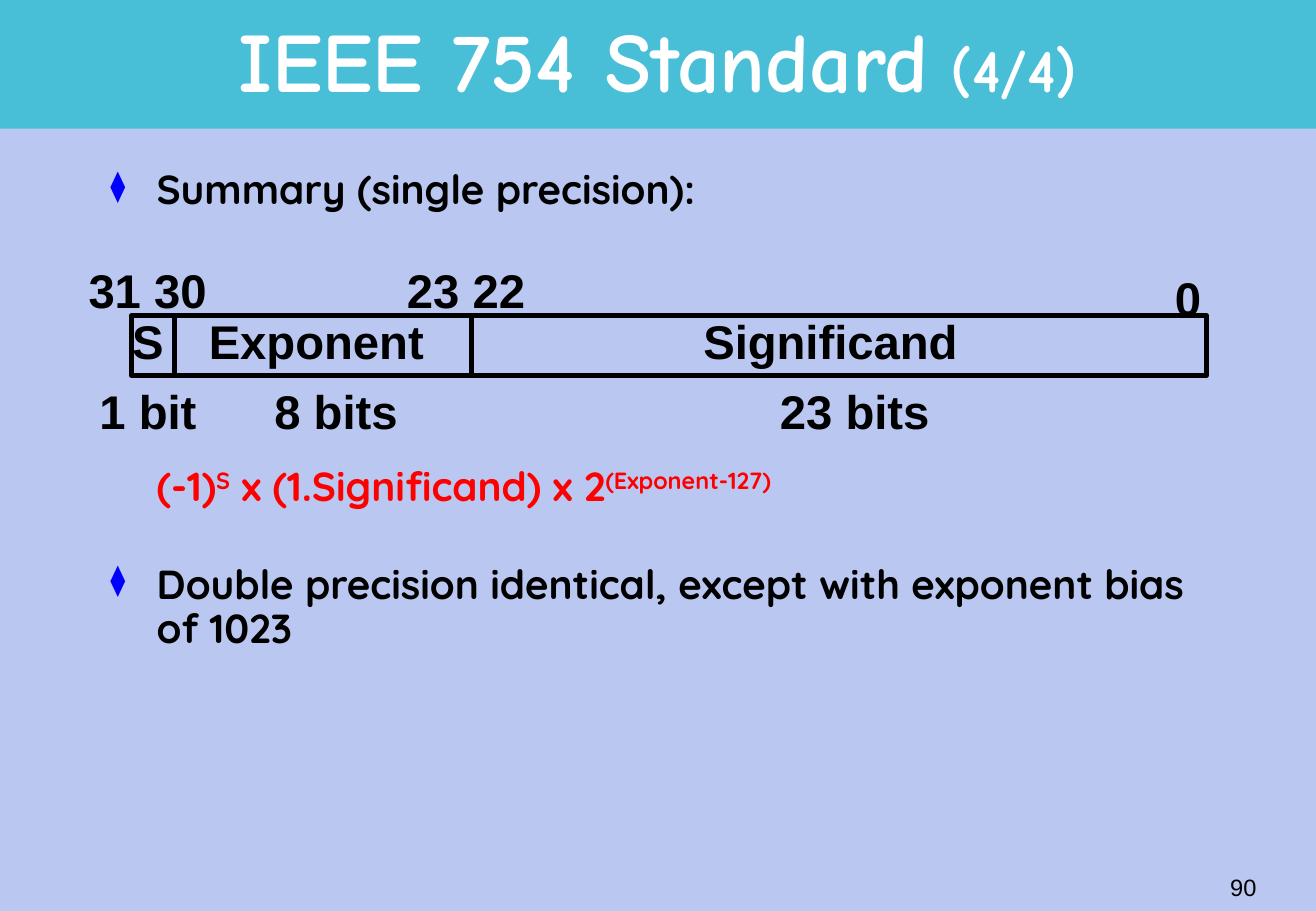
from lxml import etree
from pptx import Presentation
from pptx.dml.color import RGBColor
from pptx.enum.shapes import MSO_CONNECTOR, MSO_SHAPE
from pptx.enum.text import MSO_ANCHOR, MSO_AUTO_SIZE, PP_ALIGN
from pptx.oxml.ns import qn
from pptx.util import Inches, Pt

RECT = MSO_SHAPE.RECTANGLE
STRAIGHT = MSO_CONNECTOR.STRAIGHT
MIDDLE = MSO_ANCHOR.MIDDLE
CENTER, LEFT, RIGHT = PP_ALIGN.CENTER, PP_ALIGN.LEFT, PP_ALIGN.RIGHT
NO_FIT = MSO_AUTO_SIZE.NONE

COLORS = {
    "background": "BAC8F1",
    "band": "49BFD7",
    "black": "000000",
    "white": "FFFFFF",
    "formula": "FF0000",
    "bullet": "0000FF",
}
TITLE_FONT, BODY_FONT, LABEL_FONT = "Comic Neue", "Quicksand", "Arial"

BOX_LEFT, BOX_TOP, BOX_WIDTH, BOX_HEIGHT = 1.08, 2.6, 8.85, 0.49
DIVIDERS = [1.44, 3.88]
LABEL_HEIGHT = 0.57
# Each row: top, then (text, left, width)
LABEL_ROWS = [
    (2.1, [("31", 0.63, 0.69), ("30", 1.17, 0.69),
           ("23", 3.25, 0.69), ("22", 3.79, 0.69)]),
    (2.17, [("0", 9.57, 0.45)]),
    (2.52, [("S", 0.99, 0.5), ("Exponent", 1.62, 2.14),
            ("Significand", 5.69, 2.3)]),
    (3.1, [("1 bit", 0.72, 1.09), ("8 bits", 2.16, 1.32),
           ("23 bits", 6.32, 1.56)]),
]
FORMULA = [("(-1)", False), ("S", True), (" x (1.Significand) x 2", False),
           ("(Exponent-127)", True)]


def rgb(name):
    return RGBColor.from_string(COLORS[name])


def add_run(p, text, font, size, color="black", bold=True):
    r = p.add_run()
    r.text = text
    r.font.name = font
    r.font.size = Pt(size)
    r.font.bold = bold
    r.font.color.rgb = rgb(color)
    return r


def add_rect(slide, left, top, width, height):
    sp = slide.shapes.add_shape(RECT, Inches(left), Inches(top),
                                Inches(width), Inches(height))
    sp.shadow.inherit = False
    return sp


def add_band(slide):
    """Add the header band and place it behind the title."""
    band = add_rect(slide, 0, 0, 10.83, 1.06)
    band.fill.solid()
    band.fill.fore_color.rgb = rgb("band")
    band.line.fill.background()
    slide.shapes.title.element.addprevious(band.element)


def set_title(slide):
    title = slide.shapes.title
    title.left, title.top = Inches(0.81), Inches(0.05)
    title.width, title.height = Inches(9.21), Inches(0.99)
    tf = title.text_frame
    tf.auto_size = NO_FIT
    tf.vertical_anchor = MIDDLE
    p = tf.paragraphs[0]
    p.alignment = CENTER
    p.line_spacing = 0.85
    add_run(p, "IEEE 754 Standard", TITLE_FONT, 50, "white")
    add_run(p, " (4/4)", TITLE_FONT, 36, "white")


def add_text_box(slide, left, top, width, height, wrap=False):
    box = slide.shapes.add_textbox(Inches(left), Inches(top),
                                   Inches(width), Inches(height))
    box.text_frame.word_wrap = wrap
    return box.text_frame


def add_label(slide, text, left, top, width):
    p = add_text_box(slide, left, top, width, LABEL_HEIGHT).paragraphs[0]
    p.alignment = LEFT
    add_run(p, text, LABEL_FONT, 28)


def add_divider(slide, x):
    line = slide.shapes.add_connector(STRAIGHT, Inches(x), Inches(BOX_TOP),
                                      Inches(x), Inches(BOX_TOP + BOX_HEIGHT))
    line.line.color.rgb = rgb("black")
    line.line.width = Pt(3)
    etree.SubElement(line.element.spPr, qn("a:effectLst"))


def add_bit_layout(slide):
    box = add_rect(slide, BOX_LEFT, BOX_TOP, BOX_WIDTH, BOX_HEIGHT)
    box.fill.background()
    box.line.color.rgb = rgb("black")
    box.line.width = Pt(3)
    for x in DIVIDERS:
        add_divider(slide, x)
    for top, labels in LABEL_ROWS:
        for text, left, width in labels:
            add_label(slide, text, left, top, width)


def format_paragraph(p, space_before, bullet=False):
    """Set spacing and the hanging indent, with a diamond bullet if asked."""
    p.line_spacing = 0.9
    p.space_before = Pt(space_before)
    pPr = p._p.get_or_add_pPr()
    pPr.set("marL", str(Inches(0.38)))
    pPr.set("indent", str(Inches(-0.38) if bullet else 0))
    if bullet:
        color = etree.SubElement(pPr, qn("a:buClr"))
        etree.SubElement(color, qn("a:srgbClr"), val=COLORS["bullet"])
        etree.SubElement(pPr, qn("a:buSzPct"), val="75000")
        etree.SubElement(pPr, qn("a:buChar"), char="⧫")


def add_body(slide):
    tf = add_text_box(slide, 0.81, 1.35, 9.21, 5.56, wrap=True)
    p = tf.paragraphs[0]
    format_paragraph(p, 4, bullet=True)
    add_run(p, "Summary (single precision):", BODY_FONT, 24)

    p = tf.add_paragraph()
    format_paragraph(p, 150)
    for text, raised in FORMULA:
        r = add_run(p, text, BODY_FONT, 24, "formula")
        if raised:
            r.font._element.set("baseline", "30000")

    p = tf.add_paragraph()
    format_paragraph(p, 32, bullet=True)
    add_run(p, "Double precision identical, except with exponent bias of 1023",
            BODY_FONT, 24)


def add_page_number(slide):
    tf = add_text_box(slide, 8.18, 7.05, 2.26, 0.5)
    tf.auto_size = NO_FIT
    tf.vertical_anchor = MIDDLE
    p = tf.paragraphs[0]
    p.alignment = RIGHT
    add_run(p, "90", LABEL_FONT, 14, bold=False)


def main():
    prs = Presentation()
    prs.slide_width, prs.slide_height = Inches(10.83), Inches(7.5)
    slide = prs.slides.add_slide(prs.slide_layouts.get_by_name("Title Only"))
    fill = slide.background.fill
    fill.solid()
    fill.fore_color.rgb = rgb("background")
    add_band(slide)
    set_title(slide)
    add_bit_layout(slide)
    add_body(slide)
    add_page_number(slide)
    prs.save("out.pptx")


if __name__ == "__main__":
    main()
